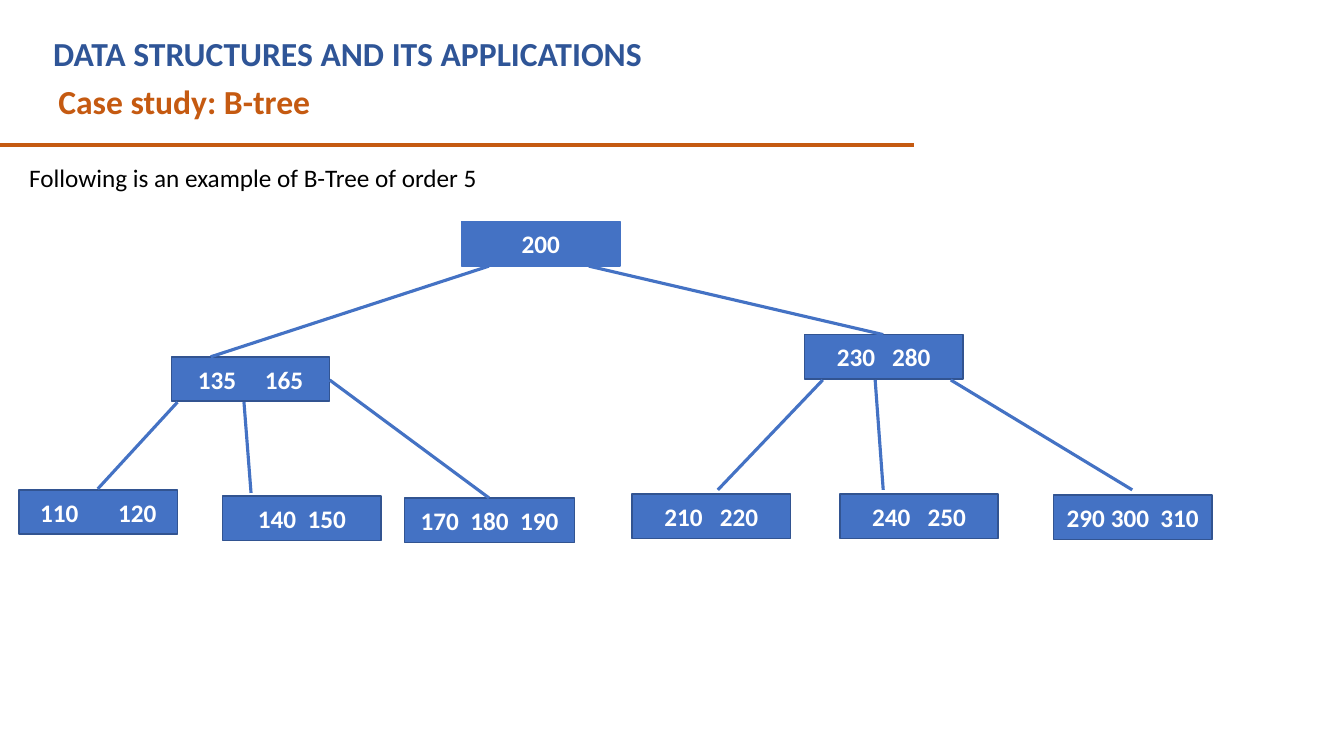
from itertools import accumulate

from lxml.etree import SubElement
from pptx import Presentation
from pptx.dml.color import RGBColor
from pptx.enum.shapes import MSO_CONNECTOR as Connector, MSO_SHAPE as Shape
from pptx.enum.text import MSO_ANCHOR as Anchor, PP_ALIGN as Align
from pptx.oxml.ns import qn
from pptx.util import Inches, Pt


def color(value):
    """Turn a hex string into a colour."""
    return RGBColor.from_string(value)


class TreeSlide:
    """Draws headings, B-tree nodes and edges in one style."""

    font = "Calibri"
    blue, border, navy = "4472C4", "325491", "2F5597"
    orange, black, white = "C55A11", "000000", "FFFFFF"
    node_width, node_height = 1.57, 0.44
    key_width, space_width = 0.38, 0.0565

    def __init__(self, slide):
        self.slide = slide

    def style(self, paragraph, size, ink, bold):
        """Set the font of a paragraph's runs."""
        for run in paragraph.runs:
            run.font.name = self.font
            run.font.size = Pt(size)
            run.font.bold = bold
            run.font.color.rgb = color(ink)

    def text(self, words, left, top, width, height, size, ink, bold=True):
        """Add a line of text."""
        box = self.slide.shapes.add_textbox(
            Inches(left), Inches(top), Inches(width), Inches(height))
        box.text_frame.word_wrap = True
        box.text_frame.text = words
        self.style(box.text_frame.paragraphs[0], size, ink, bold)

    def line(self, start, end, ink=blue, weight=2.25):
        """Add a straight line between two points."""
        edge = self.slide.shapes.add_connector(
            Connector.STRAIGHT, *map(Inches, start + end))
        edge.line.color.rgb = color(ink)
        edge.line.width = Pt(weight)
        SubElement(edge.element.spPr, qn("a:effectLst"))

    def node(self, left, top, keys, spaces=(), width=node_width, outline=border):
        """Add a node whose keys sit on tab stops, centred as a group."""
        box = self.slide.shapes.add_shape(
            Shape.RECTANGLE, Inches(left), Inches(top),
            Inches(width), Inches(self.node_height))
        box.shadow.inherit = False
        box.fill.solid()
        box.fill.fore_color.rgb = color(self.blue)
        box.line.color.rgb = color(outline)
        box.line.width = Pt(1)

        stops = list(accumulate(
            self.key_width + count * self.space_width for count in spaces))
        keys_width = self.key_width + (stops[-1] if stops else 0)
        frame = box.text_frame
        frame.word_wrap = True
        frame.vertical_anchor = Anchor.MIDDLE
        frame.margin_left = Inches((width - keys_width) / 2)
        frame.margin_right = 0
        frame.text = "\t".join(keys.split())
        paragraph = frame.paragraphs[0]
        paragraph.alignment = Align.LEFT
        if stops:
            tabs = SubElement(paragraph._p.get_or_add_pPr(), qn("a:tabLst"))
            for stop in stops:
                SubElement(tabs, qn("a:tab"), pos=str(Inches(stop)), algn="l")
        self.style(paragraph, 18, self.white, True)


def main():
    """Build and save the B-tree slide."""
    deck = Presentation()
    deck.slide_width, deck.slide_height = Inches(13.33), Inches(7.5)
    tree = TreeSlide(deck.slides.add_slide(deck.slide_layouts[6]))

    tree.text("DATA STRUCTURES AND ITS APPLICATIONS",
              0.43, 0.28, 8.2, 0.51, 24, tree.navy)
    tree.text("Case study: B-tree", 0.48, 0.75, 8.2, 0.51, 24, tree.orange)
    tree.line((-0.01, 1.44), (9.07, 1.44), tree.orange, 3)
    tree.text("Following is an example of B-Tree of order 5",
              0.19, 1.56, 4.7, 0.4, 18, tree.black, bold=False)

    tree.node(4.58, 2.2, "200", outline=tree.blue)
    tree.node(1.7, 3.54, "135 165", (5,))
    tree.node(7.98, 3.32, "230 280", (3,))
    tree.node(0.19, 4.86, "110 120", (7,))
    tree.node(2.21, 4.92, "140 150", (2,))
    tree.node(4.01, 4.94, "170 180 190", (2, 2), width=1.69)
    tree.node(6.27, 4.9, "210 220", (3,))
    tree.node(8.33, 4.9, "240 250", (3,))
    tree.node(10.45, 4.91, "290 300 310", (1, 2))

    edges = [
        ((4.85, 2.64), (2.09, 3.54)),
        ((5.84, 2.64), (8.76, 3.32)),
        ((1.76, 3.99), (0.97, 4.85)),
        ((2.42, 3.99), (2.49, 4.89)),
        ((3.27, 3.77), (4.85, 4.94)),
        ((8.16, 3.77), (7.12, 4.86)),
        ((8.68, 3.77), (8.76, 4.86)),
        ((9.43, 3.77), (11.23, 4.86)),
    ]
    for parent, child in edges:
        tree.line(parent, child)

    deck.save("out.pptx")


if __name__ == "__main__":
    main()
